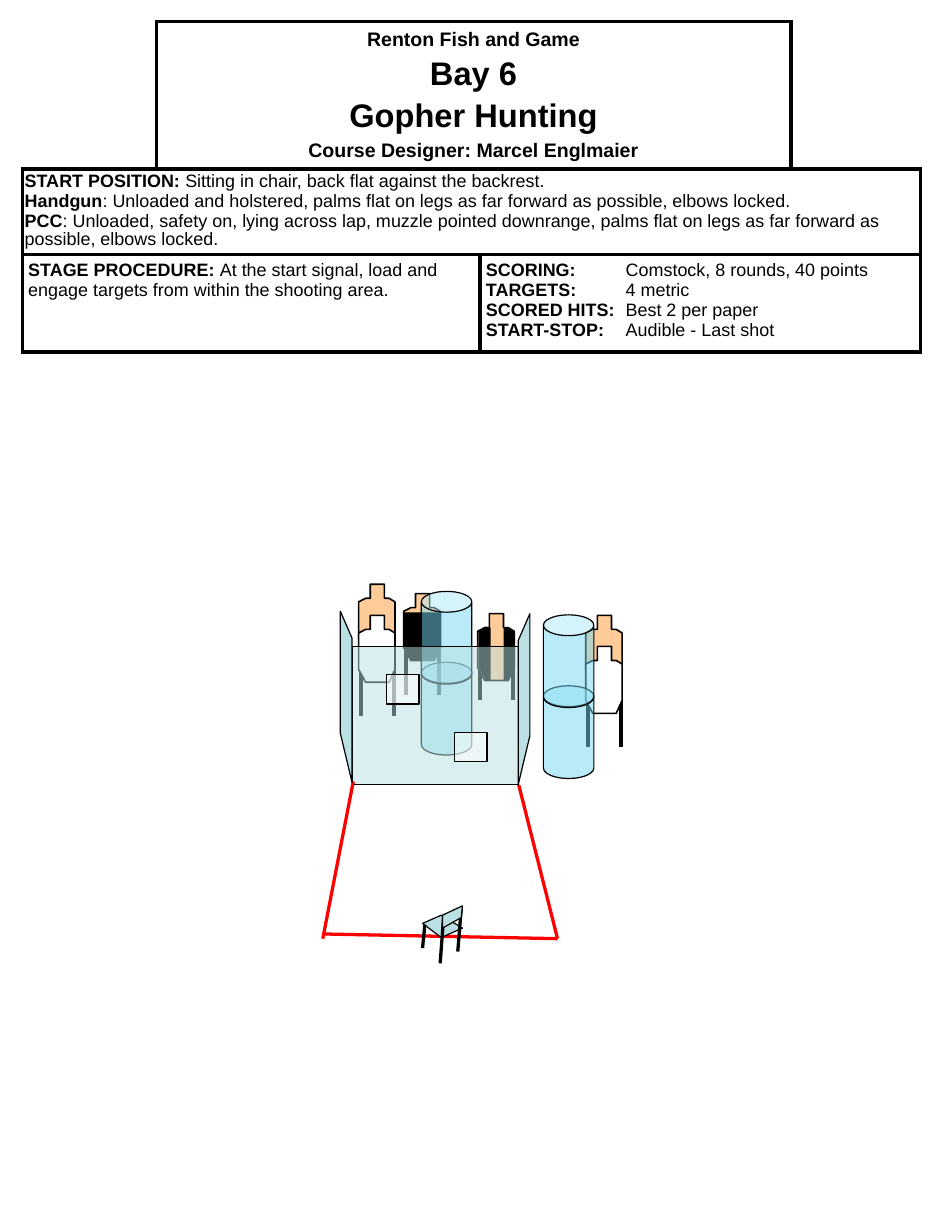
from dataclasses import dataclass

from pptx import Presentation
from pptx.dml.color import RGBColor
from pptx.enum import shapes, text
from pptx.oxml import ns, xmlchemy
from pptx.util import Inches, Pt


@dataclass(frozen=True)
class Theme:
    font: str = "Arial"
    ink: str = "000000"
    paper: str = "FFFFFF"
    cardboard: str = "FFCC99"
    barrel: str = "73D9F1"
    wall: str = "BBE0E3"
    fault: str = "FF0000"
    title: float = 20
    heading: float = 12
    body: float = 11
    hairline: float = 0.75
    outline: float = 1
    rod: float = 2
    border: float = 2.25


THEME = Theme()
SILHOUETTE = [(0.1, 0), (0.22, 0), (0.22, 0.12), (0.26, 0.12), (0.31, 0.15), (0.31, 0.46),
              (0.26, 0.57), (0.06, 0.57), (0, 0.46), (0, 0.15), (0.06, 0.12), (0.1, 0.12)]
LOWER_HALF = [(0, 0.16), (0.32, 0.16), (0.32, 0.46), (0.25, 0.57), (0.06, 0.57), (0, 0.46)]
RIGHT_SIDE = [(0.22, 0.12), (0.22, 0.57), (0.26, 0.57), (0.32, 0.46), (0.32, 0.16), (0.26, 0.12)]
LEFT_SIDE = [(0.11, 0.12), (0.11, 0.57), (0.07, 0.57), (0.01, 0.46), (0.01, 0.15), (0.07, 0.11)]
SIDE_WALL = [(0, 1.46), (0, 0.23), (0.1, 0), (0.1, 1.04)]


def child(parent, tag, **attributes):
    element = xmlchemy.OxmlElement(tag)
    for name, value in attributes.items():
        element.set(name, str(value))
    parent.append(element)
    return element


def paint(shape, fill, width, opacity=100):
    shape.shadow.inherit = False
    shape.fill.solid()
    shape.fill.fore_color.rgb = RGBColor.from_string(fill)
    if opacity < 100:
        color = shape.fill._xPr.find(".//" + ns.qn("a:srgbClr"))
        child(color, "a:alpha", val=opacity * 1000)
    if width:
        shape.line.color.rgb = RGBColor.from_string(THEME.ink)
        shape.line.width = Pt(width)
    else:
        shape.line.fill.background()


def outline(parent, x, y, points, fill, width):
    corners = [(Inches(x + px), Inches(y + py)) for px, py in points]
    builder = parent.build_freeform(*corners[0], scale=1.0)
    builder.add_line_segments(corners[1:], close=True)
    paint(builder.convert_to_shape(), fill, width)


def rod(parent, start, end, width=THEME.rod, color=THEME.ink):
    line = parent.add_connector(shapes.MSO_CONNECTOR.STRAIGHT,
                                *(Inches(v) for v in (*start, *end)))
    line.line.color.rgb = RGBColor.from_string(color)
    line.line.width = Pt(width)
    child(line._element.spPr, "a:effectLst")


def glass(parent, kind, box, fill):
    pane = parent.add_shape(kind, *(Inches(v) for v in box))
    paint(pane, fill, THEME.hairline, opacity=50)
    return pane


def target(parent, x, y, fill=THEME.cardboard, hard_cover=(), leg_top=0.42):
    for leg in (0.02, 0.3):
        rod(parent, (x + leg, y + leg_top), (x + leg, y + leg_top + 0.44), THEME.border)
    outline(parent, x, y, SILHOUETTE, fill, THEME.outline)
    for cover in hard_cover:
        outline(parent, x, y, cover, THEME.ink, 0)


def guarded_target(parent, x, y):
    target(parent, x, y)
    target(parent, x, y + 0.265, THEME.paper)


def barrel_stack(parent, x, y):
    for top in (y + 0.605, y):
        barrel = glass(parent, shapes.MSO_SHAPE.CAN, (x, top, 0.43, 0.79), THEME.barrel)
        barrel.adjustments[0] = 0.413


def front_wall(parent, x, y, width, height):
    glass(parent, shapes.MSO_SHAPE.RECTANGLE, (x, y, width, height), THEME.wall)
    for port_x, port_y in ((0.29, 0.24), (0.87, 0.73)):
        glass(parent, shapes.MSO_SHAPE.RECTANGLE, (x + port_x, y + port_y, 0.28, 0.25), THEME.paper)


def chair(parent, x, y):
    outline(parent, x, y, [(0, 0.16), (0.16, 0.28), (0.34, 0.2), (0.16, 0.09)],
            THEME.wall, THEME.hairline)
    for top, foot in (((0.18, 0.1), (0.15, 0.5)), ((0.02, 0.17), (0, 0.37)),
                      ((0.33, 0.03), (0.3, 0.4))):
        rod(parent, (x + top[0], y + top[1]), (x + foot[0], y + foot[1]))
    outline(parent, x, y, [(0.17, 0.09), (0.34, 0.01), (0.33, 0.11), (0.17, 0.2)],
            THEME.wall, THEME.hairline)


def stage_layout(slide, x, y):
    def group():
        return slide.shapes.add_group_shape().shapes

    target(group(), x + 0.69, y + 0.08, hard_cover=[LOWER_HALF])
    target(group(), x + 1.32, y + 0.25, hard_cover=[RIGHT_SIDE, LEFT_SIDE], leg_top=0.3)
    barrel_stack(group(), x + 0.84, y + 0.06)
    guarded_target(group(), x + 0.305, y)

    near_left, near_right = (x, y + 2.98), (x + 2, y + 3.02)
    rod(slide.shapes, near_right, (x + 1.67, y + 1.71), color=THEME.fault)
    front_wall(group(), x + 0.25, y + 0.53, 1.42, 1.18)
    rod(slide.shapes, (x, y + 3.02), (x + 0.26, y + 1.68), color=THEME.fault)
    rod(slide.shapes, near_right, near_left, color=THEME.fault)
    chair(group(), x + 0.85, y + 2.73)

    guarded_target(group(), x + 2.24, y + 0.265)
    barrel_stack(group(), x + 1.88, y + 0.26)
    outline(slide.shapes, x + 1.665, y + 0.25, SIDE_WALL, THEME.wall, THEME.hairline)
    mirrored = [(-px, py) for px, py in SIDE_WALL]
    outline(slide.shapes, x + 0.25, y + 0.23, mirrored, THEME.wall, THEME.hairline)


def frame(cell, sides):
    for side in "LRTB":
        if side in sides:
            line = child(cell._tc.get_or_add_tcPr(), "a:ln" + side, w=int(Pt(THEME.border)))
            child(child(line, "a:solidFill"), "a:srgbClr", val=THEME.ink)
    cell.fill.solid()
    cell.fill.fore_color.rgb = RGBColor.from_string(THEME.paper)


def write(cell, paragraphs, margins, before=0, spacing=None, tab=None):
    cell.margin_left = cell.margin_right = Inches(margins[0])
    cell.margin_top = cell.margin_bottom = Inches(margins[1])
    for index, runs in enumerate(paragraphs):
        frame_text = cell.text_frame
        paragraph = frame_text.add_paragraph() if index else frame_text.paragraphs[0]
        if tab:
            stops = child(paragraph._p.get_or_add_pPr(), "a:tabLst")
            child(stops, "a:tab", pos=int(Inches(tab)), algn="l")
        if spacing:
            paragraph.line_spacing = spacing
        if index and before:
            paragraph.space_before = Pt(before)
        for words, size, bold in runs:
            run = paragraph.add_run()
            run.text = words
            run.font.name = THEME.font
            run.font.size = Pt(size)
            run.font.bold = bold
            run.font.color.rgb = RGBColor.from_string(THEME.ink)


def labelled(label, words):
    return [(label, THEME.body, True), (words, THEME.body, False)]


def briefing(slide, x, y, columns, rows):
    table = slide.shapes.add_table(len(rows), len(columns), Inches(x), Inches(y),
                                   Inches(sum(columns)), Inches(sum(rows))).table
    table.first_row = table.horz_banding = False
    for column, width in zip(table.columns, columns):
        column.width = Inches(width)
    for row, height in zip(table.rows, rows):
        row.height = Inches(height)

    frame(table.cell(0, 0), "RB")
    frame(table.cell(0, 3), "LB")
    for row, first, last in ((0, 1, 2), (1, 0, 3), (2, 0, 1), (2, 2, 3)):
        table.cell(row, first).merge(table.cell(row, last))
        for column in range(first, last + 1):
            edges = "LRTB" if column == first else "RTB" if column == last else "TB"
            frame(table.cell(row, column), edges)

    heading = table.cell(0, 1)
    heading.vertical_anchor = text.MSO_ANCHOR.MIDDLE
    write(heading, [[("Renton Fish and Game", THEME.heading, True)],
                    [("Bay 6", THEME.title, True)],
                    [("Gopher Hunting", THEME.title, True)],
                    [("Course Designer: Marcel Englmaier", THEME.heading, True)]],
          (0.05, 0.05), before=3.5)
    for paragraph in heading.text_frame.paragraphs:
        paragraph.alignment = text.PP_ALIGN.CENTER

    write(table.cell(1, 0), [
        labelled("START POSITION: ", "Sitting in chair, back flat against the backrest."),
        labelled("Handgun", ": Unloaded and holstered, palms flat on legs as far forward "
                 "as possible, elbows locked."),
        labelled("PCC", ": Unloaded, safety on, lying across lap, muzzle pointed downrange, "
                 "palms flat on legs as far forward as possible, elbows locked.")],
        (0.02, 0.04), before=1, spacing=0.9)
    write(table.cell(2, 0), [
        labelled("STAGE PROCEDURE: ", "At the start signal, load and engage targets "
                 "from within the shooting area.")], (0.05, 0.05))
    write(table.cell(2, 2), [
        labelled("SCORING:", "\tComstock, 8 rounds, 40 points"),
        labelled("TARGETS:", "\t4 metric"),
        labelled("SCORED HITS:", "\tBest 2 per paper"),
        labelled("START-STOP:", "\tAudible - Last shot")], (0.05, 0.05), tab=1.19)


def main():
    deck = Presentation()
    deck.slide_width, deck.slide_height = Inches(8), Inches(10.5)
    slide = deck.slides.add_slide(deck.slide_layouts[6])
    briefing(slide, 0.19, 0.18, (1.14, 2.76, 2.65, 1.1), (1.26, 0.73, 0.83))
    stage_layout(slide, 2.75, 4.98)
    deck.save("out.pptx")


if __name__ == "__main__":
    main()
